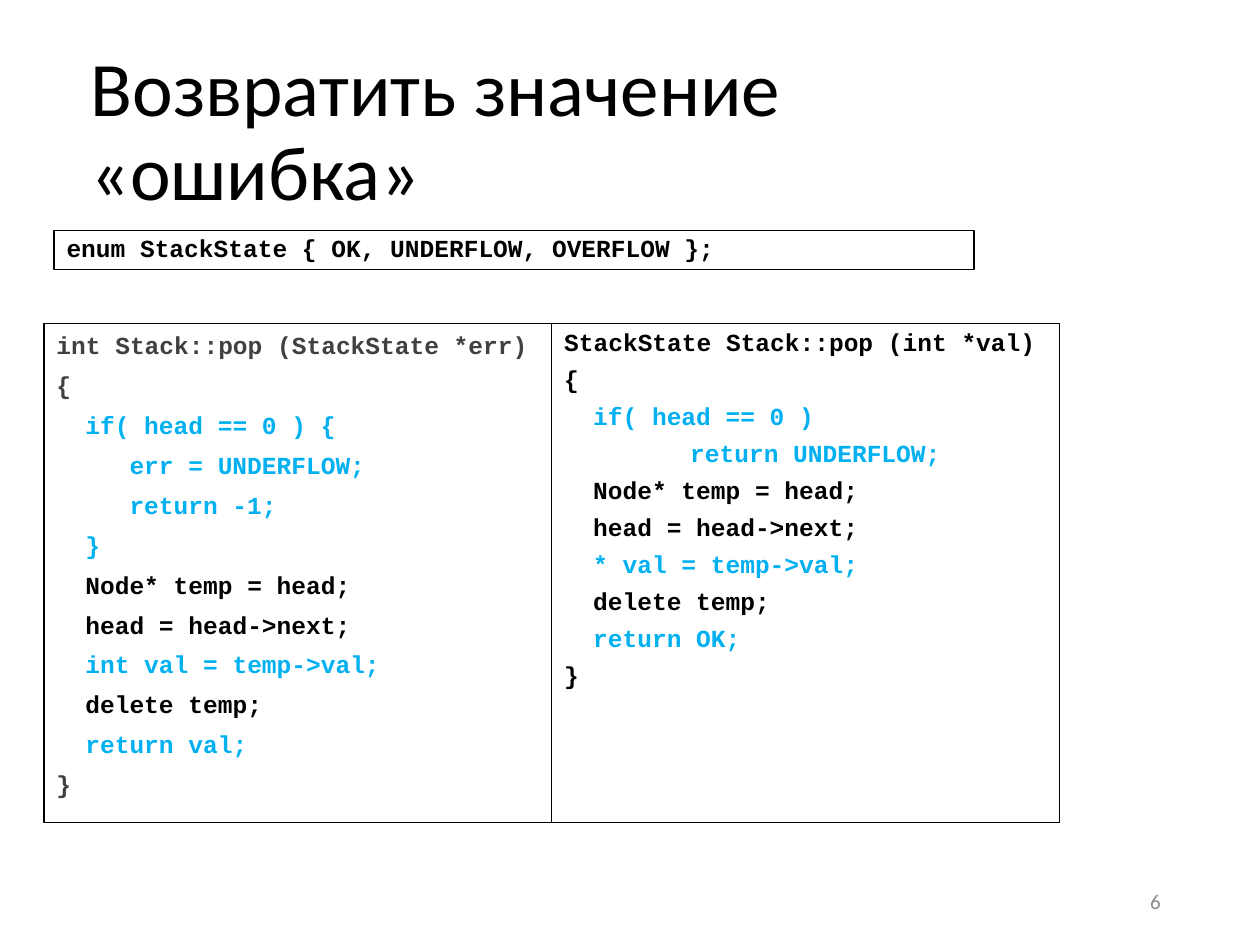
import pptx
import pptx.util
import pptx.dml.color
import pptx.enum.shapes
import pptx.enum.text

Inches = pptx.util.Inches
Pt = pptx.util.Pt
RGBColor = pptx.dml.color.RGBColor
ALIGN = pptx.enum.text.PP_ALIGN
ANCHOR = pptx.enum.text.MSO_ANCHOR

BLACK = RGBColor(0x00, 0x00, 0x00)
DARK = RGBColor(0x40, 0x40, 0x40)
BLUE = RGBColor(0x00, 0xB0, 0xF0)
GRAY = RGBColor(0x8C, 0x8C, 0x8C)

TITLE = "Возвратить значение «ошибка»"
PAGE_NUMBER = "6"

# Code lines: text, colour, indent in inches
STEP, DEEP, TAB = 0.23, 0.58, 1.0
ENUM_CODE = [("enum StackState { OK, UNDERFLOW, OVERFLOW };", BLACK, 0)]
POP_VALUE = [
    ("int Stack::pop (StackState *err)", DARK, 0),
    ("{", DARK, 0),
    ("if( head == 0 ) {", BLUE, STEP),
    ("err = UNDERFLOW;", BLUE, DEEP),
    ("return -1;", BLUE, DEEP),
    ("}", BLUE, STEP),
    ("Node* temp = head;", BLACK, STEP),
    ("head = head->next;", BLACK, STEP),
    ("int val = temp->val;", BLUE, STEP),
    ("delete temp;", BLACK, STEP),
    ("return val;", BLUE, STEP),
    ("}", DARK, 0),
]
POP_STATE = [
    ("StackState Stack::pop (int *val)", BLACK, 0),
    ("{", BLACK, 0),
    ("if( head == 0 )", BLUE, STEP),
    ("return UNDERFLOW;", BLUE, TAB),
    ("Node* temp = head;", BLACK, STEP),
    ("head = head->next;", BLACK, STEP),
    ("* val = temp->val;", BLUE, STEP),
    ("delete temp;", BLACK, STEP),
    ("return OK;", BLUE, STEP),
    ("}", BLACK, 0),
]

PANEL_LEFT, PANEL_TOP, PANEL_WIDTH, PANEL_HEIGHT = 0.35, 2.57, 4.03, 3.96

# Code boxes: lines, place, line spacing, space before in points
CODE_BOXES = [
    (ENUM_CODE, (0.43, 1.83, 7.3, 0.31), 0.9, 10),
    (POP_VALUE, (PANEL_LEFT, PANEL_TOP, PANEL_WIDTH, PANEL_HEIGHT), 1.0, 6),
    (POP_STATE, (PANEL_LEFT + PANEL_WIDTH, PANEL_TOP, PANEL_WIDTH,
                 PANEL_HEIGHT), 0.9, 6),
]


def set_all(target, **values):
    """Set each named value on the target object."""
    for name, value in values.items():
        setattr(target, name, value)


def write(para, text, color, font, paragraph):
    """Add text to a paragraph with font and paragraph formats."""
    span = para.add_run()
    span.text = text
    set_all(span.font, **font)
    span.font.color.rgb = color
    set_all(para, **paragraph)


def add_code_box(page, lines, place, line_spacing, space_before):
    """Draw an outlined box holding lines of code."""
    box = page.shapes.add_shape(
        pptx.enum.shapes.MSO_SHAPE.RECTANGLE, *map(Inches, place))
    box.shadow.inherit = False
    box.fill.background()
    box.line.color.rgb = BLACK
    box.line.width = Pt(0.75)
    frame = box.text_frame
    set_all(frame, word_wrap=True, vertical_anchor=ANCHOR.TOP)
    for index, (text, color, indent) in enumerate(lines):
        para = frame.add_paragraph() if index else frame.paragraphs[0]
        write(para, text, color,
              {"name": "Courier New", "size": Pt(14), "bold": True},
              {"alignment": ALIGN.LEFT, "line_spacing": line_spacing,
               "space_before": Pt(space_before)})
        para._p.get_or_add_pPr().set("marL", str(Inches(indent)))


def main():
    """Build and save the slide."""
    deck = pptx.Presentation()
    set_all(deck, slide_width=Inches(10), slide_height=Inches(7.5))
    page = deck.slides.add_slide(deck.slide_layouts[5])

    title = page.shapes.title
    set_all(title, left=Inches(0.62), top=Inches(0.34),
            width=Inches(7.64), height=Inches(1.44))
    set_all(title.text_frame, word_wrap=True, vertical_anchor=ANCHOR.MIDDLE,
            auto_size=pptx.enum.text.MSO_AUTO_SIZE.NONE)
    write(title.text_frame.paragraphs[0], TITLE, BLACK,
          {"name": "Calibri", "size": Pt(44)},
          {"alignment": ALIGN.LEFT, "line_spacing": 0.9})

    for code_box in CODE_BOXES:
        add_code_box(page, *code_box)

    number = page.shapes.add_textbox(
        Inches(7.06), Inches(6.95), Inches(2.25), Inches(0.4))
    set_all(number.text_frame, word_wrap=True, vertical_anchor=ANCHOR.MIDDLE)
    write(number.text_frame.paragraphs[0], PAGE_NUMBER, GRAY,
          {"name": "Calibri", "size": Pt(12)}, {"alignment": ALIGN.RIGHT})

    deck.save("out.pptx")


main()
